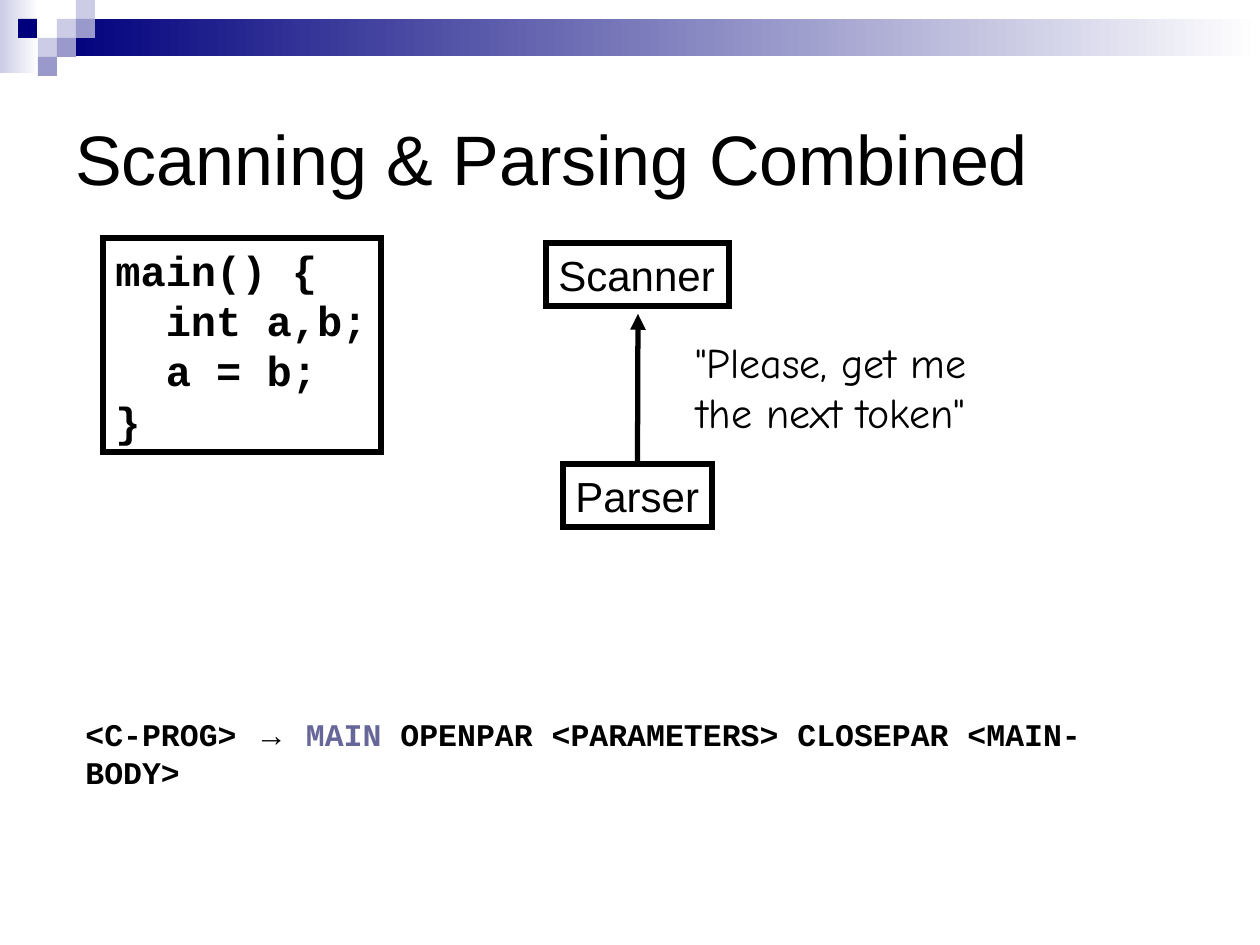
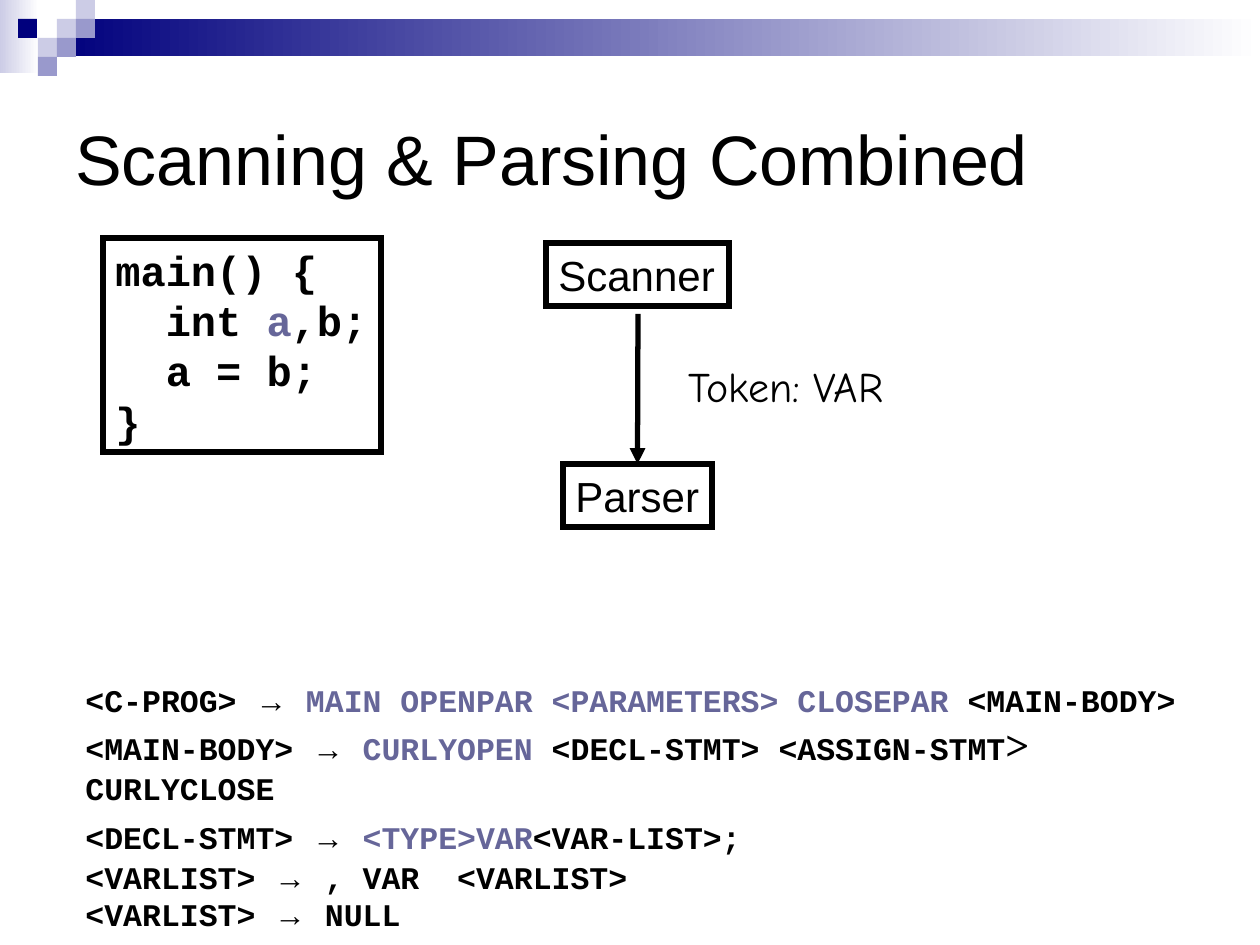
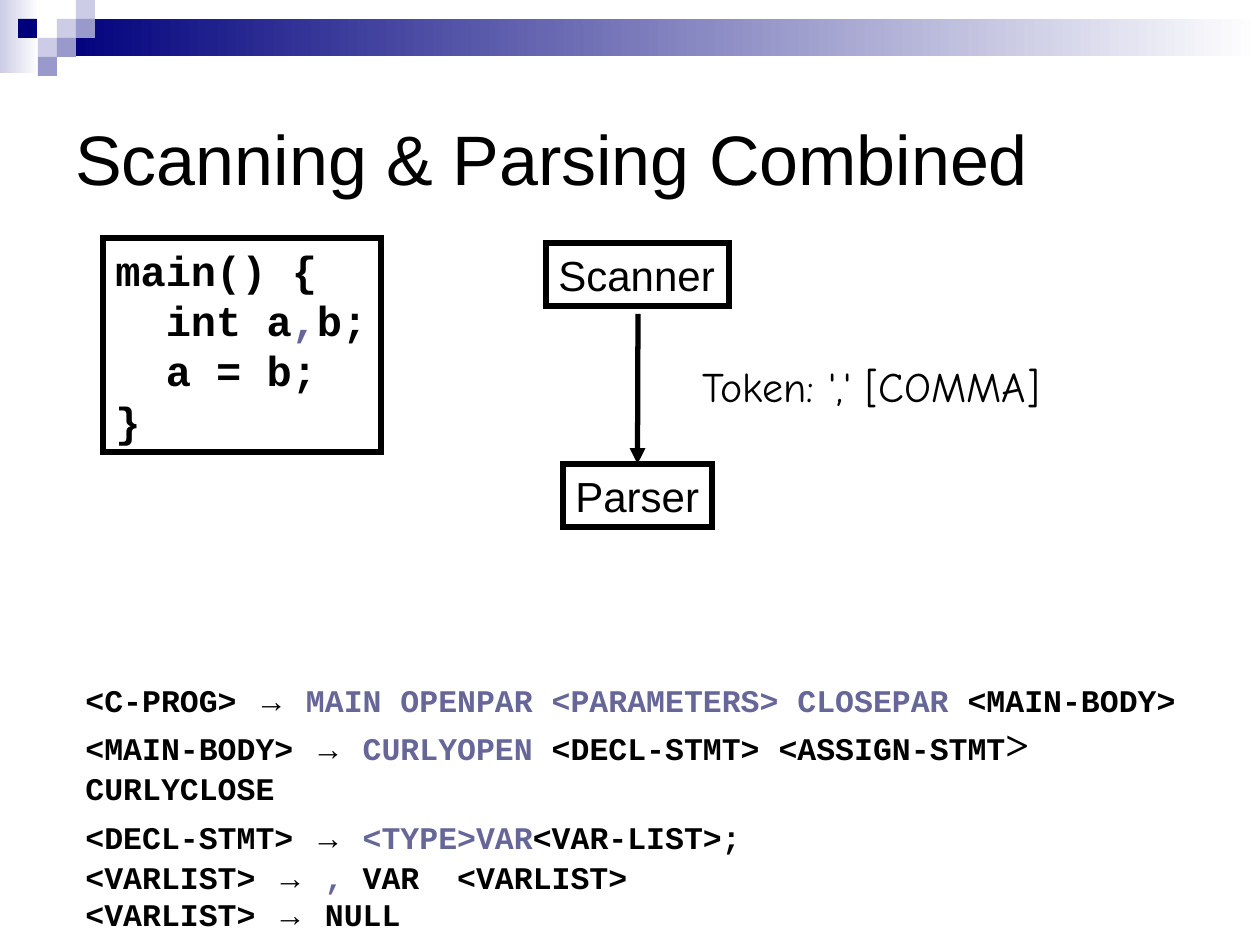
from pptx import Presentation
from pptx.dml.color import RGBColor
from pptx.enum.shapes import MSO_CONNECTOR, MSO_SHAPE
from pptx.enum.text import MSO_ANCHOR, MSO_AUTO_SIZE, PP_ALIGN
from pptx.oxml.ns import qn
from pptx.util import Pt
from lxml.etree import SubElement

PX = 914400 / 126
BLACK, ACCENT = "000000", "666699"
NAVY, LILAC, PALE, WHITE = "00007D", "9999CC", "CCCCE6", "FFFFFF"

TITLE = {"name": "Arial", "size": 40, "color": BLACK}
LABEL = TITLE | {"size": 24}
SPEECH = LABEL | {"name": "Comic Neue"}
CODE = LABEL | {"name": "Courier New", "bold": True}
GRAMMAR = CODE | {"size": 18}

SQUARE = 19
SQUARES = [
    (57, 19, PALE), (76, 0, PALE), (76, 19, LILAC), (38, 38, PALE),
    (18, 19, NAVY), (57, 38, LILAC), (38, 57, LILAC),
]


def emu(*lengths):
    return [round(length * PX) for length in lengths]


def rgb(hex_color):
    return RGBColor.from_string(hex_color)


def accent(text):
    return text, {"color": ACCENT}


ARROW = ("→", {"name": "Arial"})
SERIF = {"name": "Times New Roman", "size": 24}


def write(shape, lines, style, align=PP_ALIGN.LEFT, anchor=MSO_ANCHOR.TOP,
          wrap=False, fit=MSO_AUTO_SIZE.SHAPE_TO_FIT_TEXT):
    """Fill a shape with lines; each is a list of strings or (text, changes) pairs."""
    frame = shape.text_frame
    frame.word_wrap = wrap
    frame.auto_size = fit
    frame.vertical_anchor = anchor
    for number, line in enumerate(lines):
        paragraph = frame.add_paragraph() if number else frame.paragraphs[0]
        paragraph.alignment = align
        for part in line:
            text, changes = (part, {}) if isinstance(part, str) else part
            run = paragraph.add_run()
            run.text = text
            for key, value in (style | changes).items():
                if key == "color":
                    run.font.color.rgb = rgb(value)
                else:
                    setattr(run.font, key, Pt(value) if key == "size" else value)


def add_text(slide, place, lines, style, **layout):
    write(slide.shapes.add_textbox(*emu(*place)), lines, style, **layout)


def add_rectangle(slide, place):
    rectangle = slide.shapes.add_shape(MSO_SHAPE.RECTANGLE, *emu(*place))
    rectangle.shadow.inherit = False
    return rectangle


def add_block(slide, place, *colors):
    """Borderless rectangle: one colour is solid, two fade from left to right."""
    block = add_rectangle(slide, place)
    block.line.fill.background()
    if len(colors) == 1:
        block.fill.solid()
        block.fill.fore_color.rgb = rgb(colors[0])
    else:
        block.fill.gradient()
        block.fill.gradient_angle = 0
        for stop, color in zip(block.fill.gradient_stops, colors):
            stop.color.rgb = rgb(color)


def draw_line(line):
    """Give a line its black, sharp-cornered stroke and return its XML element."""
    line.color.rgb = rgb(BLACK)
    line.width = Pt(3)
    stroke = line._get_or_add_ln()
    SubElement(stroke, qn("a:miter"), lim="800000")
    return stroke


def add_framed(slide, place, lines, style):
    framed = add_rectangle(slide, place)
    framed.fill.background()
    draw_line(framed.line)
    write(framed, lines, style)
    return framed


def add_message_arrow(slide, parser, to_scanner):
    scanner_end, parser_end = emu(638, 314), emu(638, 464)
    ends = (parser_end, scanner_end) if to_scanner else (scanner_end, parser_end)
    arrow = slide.shapes.add_connector(MSO_CONNECTOR.STRAIGHT, *ends[0], *ends[1])
    join = arrow.begin_connect if to_scanner else arrow.end_connect
    join(parser, 0)
    SubElement(draw_line(arrow.line), qn("a:tailEnd"), type="triangle")
    SubElement(arrow._element.spPr, qn("a:effectLst"))


def add_header(slide):
    add_block(slide, (0, 0, 39, 73), PALE, WHITE)
    add_block(slide, (57, 19, 1203, 37), NAVY, WHITE)
    for left, top, color in SQUARES:
        add_block(slide, (left, top, SQUARE, SQUARE), color)
    add_text(slide, (63, 63, 1134, 189), [["Scanning & Parsing Combined"]], TITLE,
             anchor=MSO_ANCHOR.MIDDLE, wrap=True, fit=MSO_AUTO_SIZE.NONE)


def add_step(deck, declaration, message, message_place, grammar, grammar_place,
             to_scanner=False, align=PP_ALIGN.LEFT):
    slide = deck.slides.add_slide(deck.slide_layouts[6])
    add_header(slide)
    code = [["main() {"], declaration, ["  a = b;"], ["}"]]
    add_framed(slide, (103, 238, 278, 214), code, CODE)
    parser = add_framed(slide, (563, 464, 149, 63), [["Parser"]], LABEL)
    add_framed(slide, (546, 243, 183, 63), [["Scanner"]], LABEL)
    add_message_arrow(slide, parser, to_scanner)
    add_text(slide, message_place, message, SPEECH, align=align)
    add_text(slide, grammar_place, grammar, GRAMMAR, wrap=True)


def full_grammar(*variable_list):
    return [
        ["<C-PROG> ", ARROW, accent(" MAIN OPENPAR <PARAMETERS> CLOSEPAR"),
         " <MAIN-BODY>"],
        ["<MAIN-BODY> ", ARROW, accent(" CURLYOPEN"), " <DECL-STMT> <ASSIGN-STMT",
         ("> ", SERIF), "CURLYCLOSE"],
        ["<DECL-STMT> ", ARROW, accent(" <TYPE>VAR"), "<VAR-LIST>;",
         (" ", SERIF | {"bold": False})],
        ["<VARLIST> ", ARROW, *variable_list],
        ["<VARLIST> ", ARROW, " NULL"],
    ]


def main():
    deck = Presentation()
    deck.slide_width, deck.slide_height = emu(1260, 945)
    full_place = (73, 675, 1163, 227)

    add_step(deck, ["  int a,b;"],
             [['"Please, get me'], ['the next token"']], (681, 330, 300, 113),
             [["<C-PROG> ", ARROW, accent(" MAIN"),
               " OPENPAR <PARAMETERS> CLOSEPAR <MAIN-BODY>"]],
             (73, 709, 1109, 50), to_scanner=True, align=PP_ALIGN.CENTER)
    add_step(deck, ["  int ", accent("a"), ",b;"],
             [["Token: VAR"]], (676, 354, 227, 63),
             full_grammar(" , VAR  <VARLIST>"), full_place)
    add_step(deck, ["  int a", accent(","), "b;"],
             [["Token: ',' [COMMA]"]], (690, 354, 367, 63),
             full_grammar(accent(" ,"), " VAR  <VARLIST>"), full_place)

    deck.save("out.pptx")


if __name__ == "__main__":
    main()
